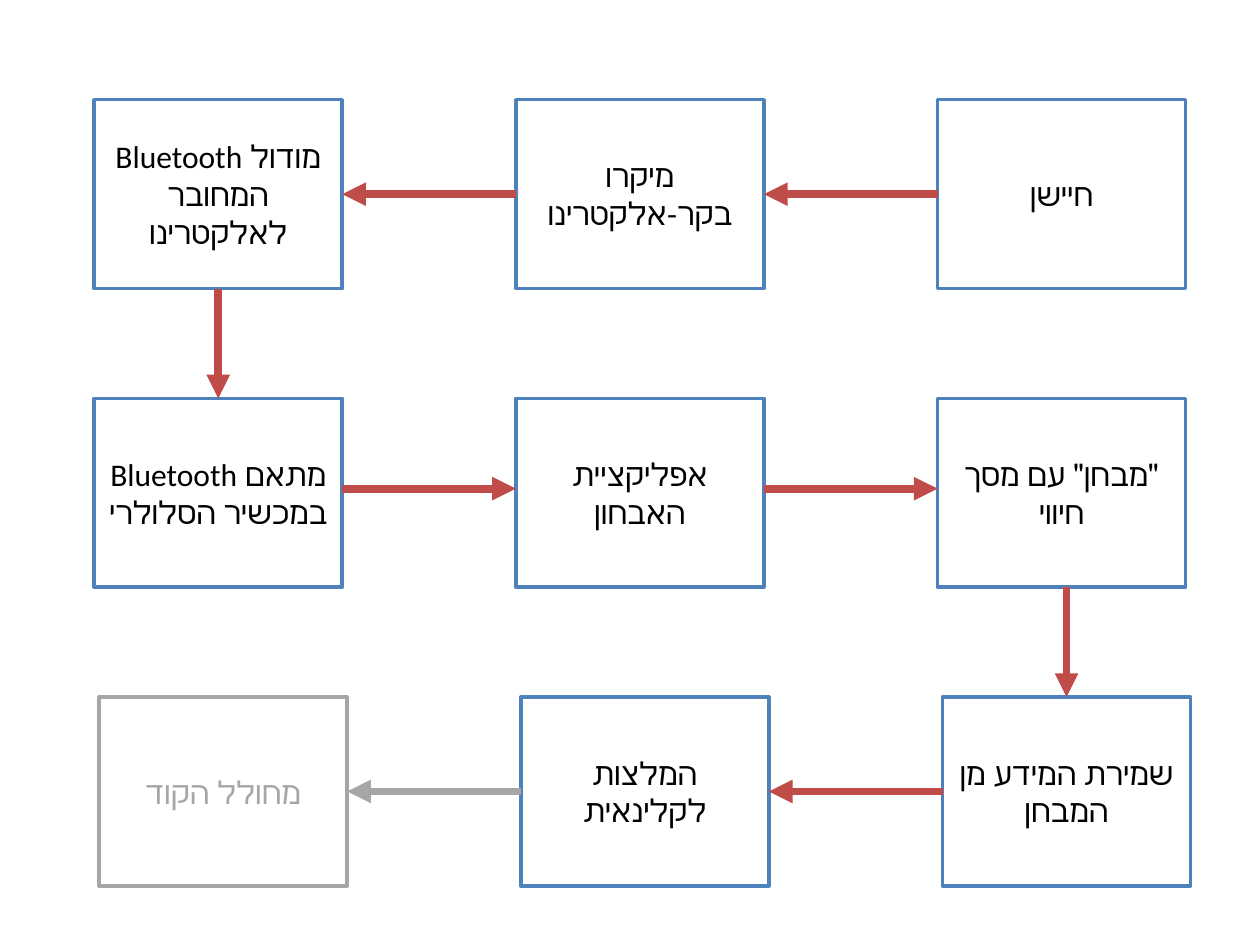
from pptx import Presentation as Deck
from pptx.dml.color import RGBColor as Rgb
from pptx.enum.shapes import MSO_CONNECTOR as Link, MSO_SHAPE as Form
from pptx.enum.text import MSO_ANCHOR as Anchor, PP_ALIGN as Align
from pptx.oxml.ns import qn
from pptx.util import Cm, Pt
from lxml.etree import SubElement as Sub

BLUE, RED, GREY, BLACK, WHITE = "4F81BD", "BF4C48", "A6A6A6", "000000", "FFFFFF"
WIDE, HIGH = 5, 3.81
TOP, LEFT, BOTTOM, RIGHT = range(4)
LEFTS = [1.9, 10.4, 18.9]
ROWS = [
    (0, 2.01, [[["מודול Bluetooth המחובר לאלקטרינו"]],
               [["מיקרו בקר-אלקטרינו"]],
               [["חיישן"]]]),
    (0, 8.03, [[["מתאם Bluetooth", "במכשיר הסלולרי"]],
               [["אפליקציית האבחון"]],
               [["\"מבחן\" עם מסך חיווי"]]]),
    (0.1, 14.05, [[["מחולל הקוד"]],
                  [["המלצות"], ["לקלינאית"]],
                  [["שמירת המידע מן המבחן"]]]),
]


def paint(part, tone):
    """Give a fill or font colour the hex tone."""
    part.rgb = Rgb.from_string(tone)


def add_box(slide, left, top, paras, dim=False):
    """Place one step of the flow with its centred right-to-left text."""
    box = slide.shapes.add_shape(Form.RECTANGLE, Cm(left), Cm(top), Cm(WIDE), Cm(HIGH))
    box.shadow.inherit = False
    if dim:
        box.fill.background()
    else:
        box.fill.solid()
        paint(box.fill.fore_color, WHITE)
    paint(box.line.color, GREY if dim else BLUE)
    box.line.width = Pt(2)
    frame = box.text_frame
    frame.word_wrap = True
    frame.vertical_anchor = Anchor.MIDDLE
    for i, lines in enumerate(paras):
        para = frame.add_paragraph() if i else frame.paragraphs[0]
        para.alignment = Align.CENTER
        para._p.get_or_add_pPr().set("rtl", "1")
        for j, line in enumerate(lines):
            if j:
                para.add_line_break()
            run = para.add_run()
            run.text = line
            run.font.size = Pt(18)
            run.font.name = "Calibri"
            paint(run.font.color, GREY if dim else BLACK)
    return box


def add_row(slide, shift, top, steps, dim=None):
    """Place a row of steps and return its boxes from left to right."""
    return [add_box(slide, left + shift, top, paras, i == dim)
            for i, (left, paras) in enumerate(zip(LEFTS, steps))]


def add_arrow(slide, start, end, tone=RED):
    """Draw a thick arrow between two points in Cm."""
    arrow = slide.shapes.add_connector(Link.STRAIGHT, *map(Cm, start + end))
    paint(arrow.line.color, tone)
    arrow.line.width = Pt(4.5)
    Sub(arrow.line._get_or_add_ln(), qn("a:tailEnd"), type="triangle")
    Sub(arrow._element.spPr, qn("a:effectLst"))
    return arrow


def join(slide, source, side, target, face, tone=RED):
    """Join the middles of two box sides with an arrow."""
    arrow = add_arrow(slide, (0, 0), (0, 0), tone)
    arrow.begin_connect(source, side)
    arrow.end_connect(target, face)


def add_flow(slide):
    """Lay out the three rows of the flow and link them in order."""
    first, second, third = [
        add_row(slide, *row, dim=dim) for row, dim in zip(ROWS, (None, None, 0))]
    for row, last in ((first, RED), (third, GREY)):
        join(slide, row[2], LEFT, row[1], RIGHT)
        join(slide, row[1], LEFT, row[0], RIGHT, last)
    join(slide, first[0], BOTTOM, second[0], TOP)
    mid = 9.85
    for left, right in zip(LEFTS, LEFTS[1:]):
        add_arrow(slide, (left + WIDE, mid), (right, mid))
    drop = LEFTS[2] + ROWS[2][0] + WIDE / 2
    down = add_arrow(slide, (drop, ROWS[1][1] + HIGH), (drop, ROWS[2][1]))
    down.end_connect(third[2], TOP)


def main():
    """Build and save the deck."""
    deck = Deck()
    deck.slide_width, deck.slide_height = Cm(25.4), Cm(19.05)
    add_flow(deck.slides.add_slide(deck.slide_layouts[6]))
    deck.save("out.pptx")


if __name__ == "__main__":
    main()
